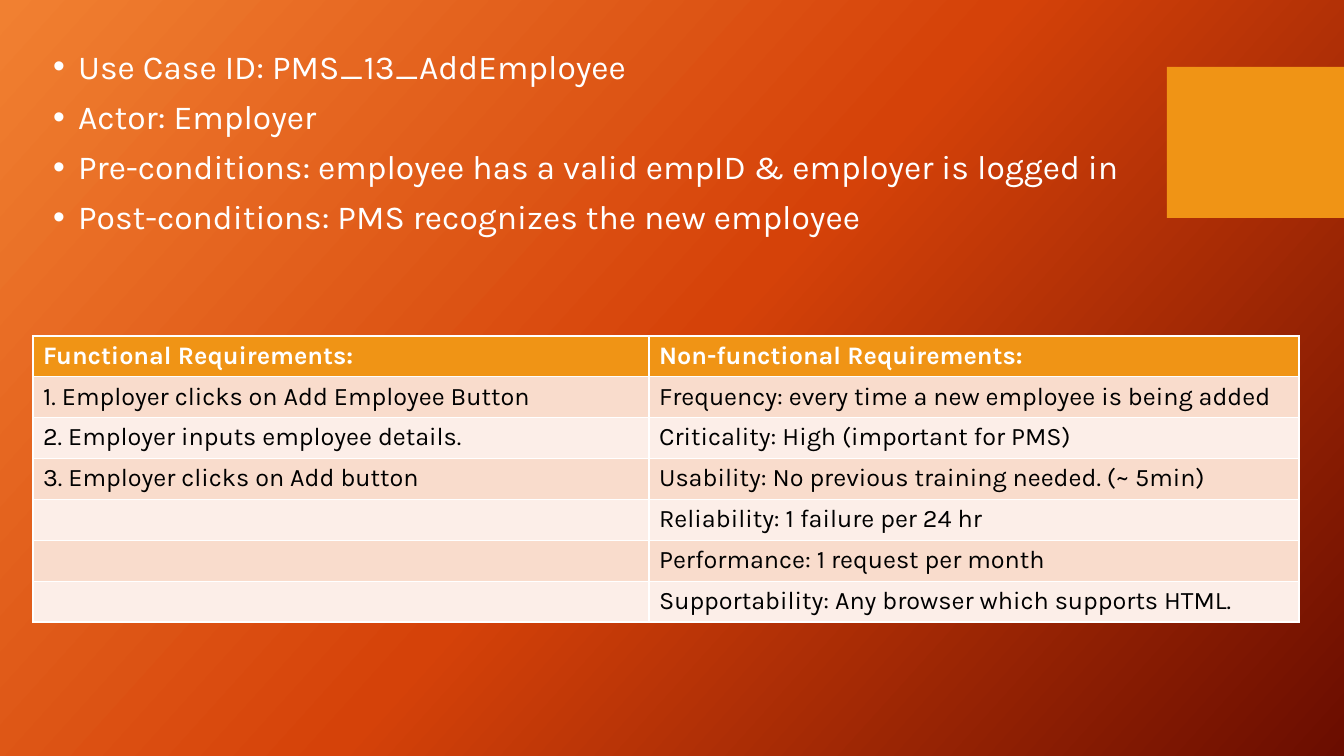
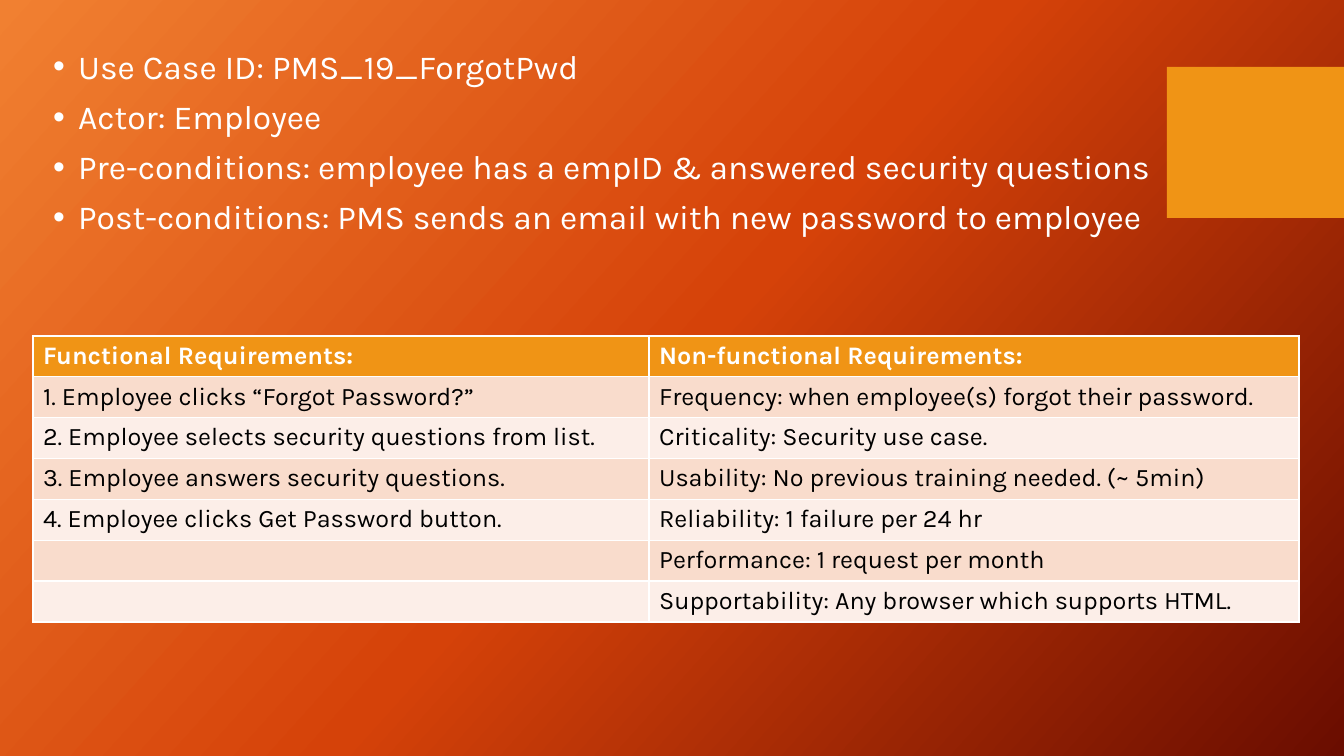
import pptx
import pptx.util
import pptx.dml.color
import pptx.enum.shapes
import pptx.enum.text
import pptx.oxml.ns
import lxml.etree

# Content
HEADINGS = ("Functional Requirements:", "Non-functional Requirements:")
COMMON_QUALITIES = [
    "Usability: No previous training needed. (~ 5min)",
    "Reliability: 1 failure per 24 hr",
    "Performance: 1 request per month",
    "Supportability: Any browser which supports HTML.",
]
USE_CASES = [
    {
        "summary": [
            "Use Case ID: PMS_13_AddEmployee",
            "Actor: Employer",
            "Pre-conditions: employee has a valid empID & employer is logged in",
            "Post-conditions: PMS recognizes the new employee",
        ],
        "steps": [
            "1. Employer clicks on Add Employee Button",
            "2. Employer inputs employee details.",
            "3. Employer clicks on Add button",
        ],
        "qualities": [
            "Frequency: every time a new employee is being added",
            "Criticality: High (important for PMS)",
        ],
    },
    {
        "summary": [
            "Use Case ID: PMS_19_ForgotPwd",
            "Actor: Employee",
            "Pre-conditions: employee has a empID & answered security questions",
            "Post-conditions: PMS sends an email with new password to employee",
        ],
        "steps": [
            "1. Employee clicks “Forgot Password?”",
            "2. Employee selects security questions from list.",
            "3. Employee answers security questions.",
            "4. Employee clicks Get Password button.",
        ],
        "qualities": [
            "Frequency: when employee(s) forgot their password.",
            "Criticality: Security use case.",
        ],
    },
]

# Shared style, lengths in pixels
COLORS = {
    "accent": "F09415", "white": "FFFFFF", "black": "000000",
    "odd_row": "F9DCCC", "even_row": "FCEEE8",
}
GRADIENT = [(0, "F18031"), (50, "D54209"), (100, "6A0D00")]
GRADIENT_ANGLE = 42
FONT = "Karla"
SLIDE_SIZE = (1344, 756)
BAND_BOX = (1167, 67, 177, 151)
SUMMARY_BOX = (43, 45, 1213, 235)
TABLE_LEFT, TABLE_TOP, TABLE_HEIGHT = 33, 336, 286
COLUMN_WIDTHS = (616, 650)
BULLET_INDENT = 25
EMU_PER_PIXEL = 914400 / 100.8


def emu(pixels):
    return pptx.util.Emu(round(pixels * EMU_PER_PIXEL))


def rgb(name):
    return pptx.dml.color.RGBColor.from_string(COLORS[name])


def add_element(parent, tag, **attributes):
    element = lxml.etree.SubElement(parent, pptx.oxml.ns.qn(tag))
    for name, value in attributes.items():
        element.set(name, str(value))
    return element


def format_runs(paragraph, size, color, bold=False):
    for run in paragraph.runs:
        run.font.name = FONT
        run.font.size = pptx.util.Pt(size)
        run.font.bold = bold
        run.font.color.rgb = rgb(color)


def set_background(master):
    fill = master.background.fill
    fill.gradient()
    fill.gradient_angle = 360 - GRADIENT_ANGLE
    stops = next(master.element.iter(pptx.oxml.ns.qn("a:gsLst")))
    for stop in list(stops):
        stops.remove(stop)
    for percent, color in GRADIENT:
        stop = add_element(stops, "a:gs", pos=percent * 1000)
        add_element(stop, "a:srgbClr", val=color)


def add_band(slide):
    band = slide.shapes.add_shape(
        pptx.enum.shapes.MSO_SHAPE.RECTANGLE, *map(emu, BAND_BOX))
    band.shadow.inherit = False
    band.fill.solid()
    band.fill.fore_color.rgb = rgb("accent")
    band.line.fill.background()
    # Behind the text
    slide.shapes.element.insert(2, band.element)


def fill_summary(placeholder, lines):
    (placeholder.left, placeholder.top,
     placeholder.width, placeholder.height) = map(emu, SUMMARY_BOX)
    frame = placeholder.text_frame
    frame.text = "\n".join(lines)
    frame.word_wrap = True
    frame.auto_size = pptx.enum.text.MSO_AUTO_SIZE.NONE
    frame.vertical_anchor = pptx.enum.text.MSO_ANCHOR.TOP
    for paragraph in frame.paragraphs:
        paragraph.line_spacing = 0.9
        paragraph.space_before = pptx.util.Pt(10)
        format_runs(paragraph, 24, "white")
        properties = paragraph._p.get_or_add_pPr()
        properties.set("marL", str(emu(BULLET_INDENT)))
        properties.set("indent", str(-emu(BULLET_INDENT)))
        add_element(properties, "a:buFont", typeface="Arial")
        add_element(properties, "a:buChar", char="•")


def add_requirements(slide, steps, qualities):
    padded_steps = steps + [""] * (len(qualities) - len(steps))
    rows = [HEADINGS, *zip(padded_steps, qualities)]
    # The default table style supplies the white borders
    table = slide.shapes.add_table(
        len(rows), len(HEADINGS), emu(TABLE_LEFT), emu(TABLE_TOP),
        emu(sum(COLUMN_WIDTHS)), emu(TABLE_HEIGHT)).table
    for column, width in zip(table.columns, COLUMN_WIDTHS):
        column.width = emu(width)
    for row_index, texts in enumerate(rows):
        is_header = row_index == 0
        row_fill = "odd_row" if row_index % 2 else "even_row"
        for column_index, text in enumerate(texts):
            cell = table.cell(row_index, column_index)
            cell.fill.solid()
            cell.fill.fore_color.rgb = rgb("accent" if is_header else row_fill)
            if text:
                cell.text = text
                format_runs(cell.text_frame.paragraphs[0], 18,
                            "white" if is_header else "black", is_header)


# Presentation
presentation = pptx.Presentation()
presentation.slide_width, presentation.slide_height = map(emu, SLIDE_SIZE)
set_background(presentation.slide_master)
content_layout = presentation.slide_layouts[1]

for use_case in USE_CASES:
    slide = presentation.slides.add_slide(content_layout)
    title = slide.shapes.title.element
    title.getparent().remove(title)
    add_band(slide)
    fill_summary(slide.placeholders[1], use_case["summary"])
    add_requirements(slide, use_case["steps"],
                     use_case["qualities"] + COMMON_QUALITIES)

presentation.save("out.pptx")
